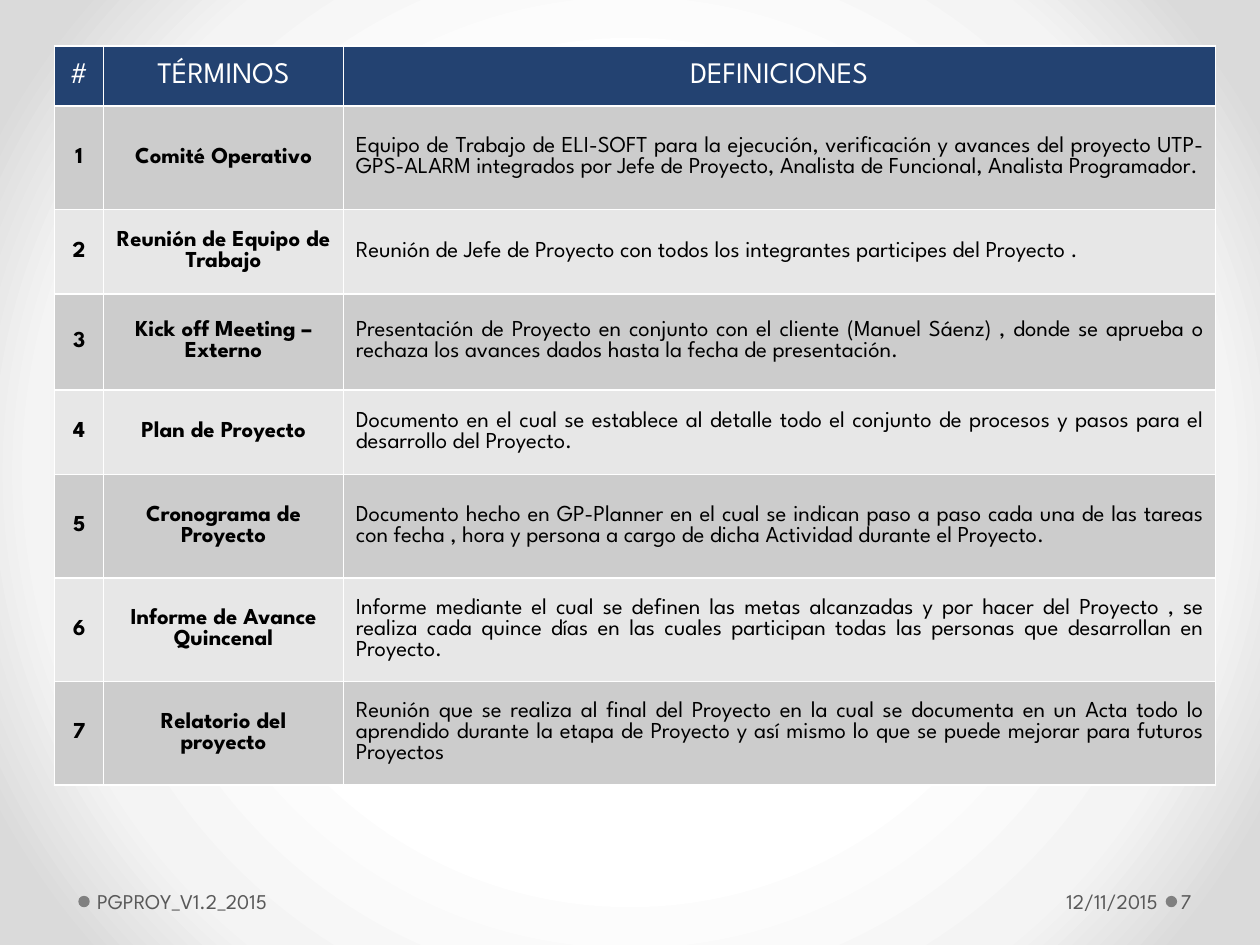
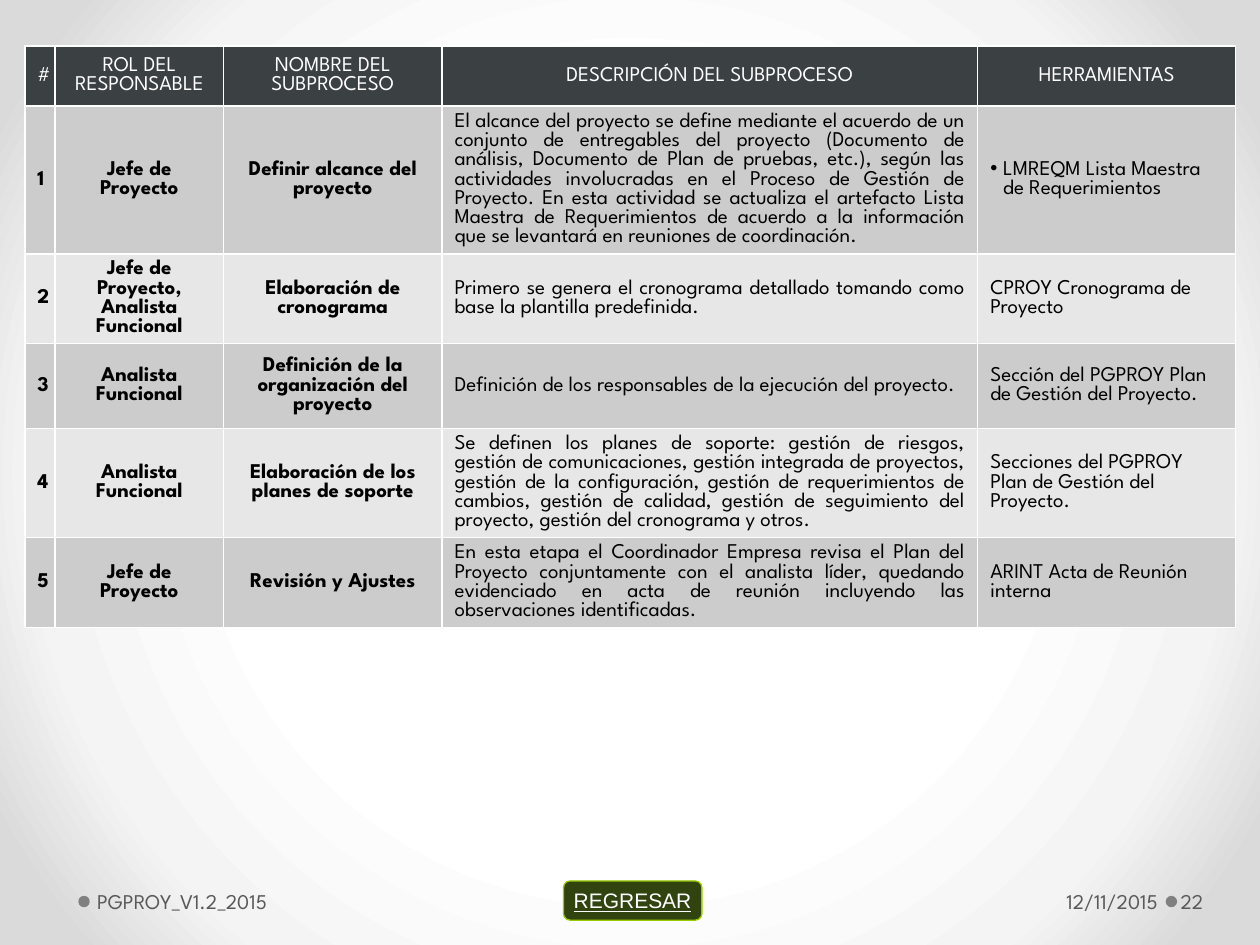
"""Builds the glossary and subprocess table slides of the project plan."""
from lxml import etree
from pptx import Presentation
from pptx.dml.color import RGBColor
from pptx.enum.shapes import MSO_SHAPE
from pptx.enum.text import MSO_ANCHOR, PP_ALIGN
from pptx.oxml.ns import qn
from pptx.util import Cm, Pt

LEFT, CENTER, RIGHT, JUSTIFY = PP_ALIGN.LEFT, PP_ALIGN.CENTER, PP_ALIGN.RIGHT, PP_ALIGN.JUSTIFY
MIDDLE = MSO_ANCHOR.MIDDLE
DOT, BUTTON = MSO_SHAPE.OVAL, MSO_SHAPE.FLOWCHART_ALTERNATE_PROCESS

WHITE = RGBColor(0xFF, 0xFF, 0xFF)
BLACK = RGBColor(0x00, 0x00, 0x00)
PALE = RGBColor(0xF4, 0xF4, 0xF4)
SILVER = RGBColor(0xDA, 0xDA, 0xDA)
DOT_GRAY = RGBColor(0x80, 0x80, 0x80)
FOOTER_GRAY = RGBColor(0x59, 0x59, 0x59)
NAVY = RGBColor(0x23, 0x42, 0x71)
CHARCOAL = RGBColor(0x3B, 0x40, 0x42)
ROW_DARK = RGBColor(0xCC, 0xCC, 0xCC)
ROW_LIGHT = RGBColor(0xE7, 0xE7, 0xE7)
BUTTON_GREEN = RGBColor(0x31, 0x44, 0x10)
LIME = RGBColor(0x99, 0xCC, 0x00)

FONT = "League Spartan"
LINE_PITCH = 0.92
BULLET = "•"
BACKDROP_STOPS = [(50, WHITE), (76, PALE), (92, SILVER)]
TABLE_TOP = 0.93
FOOTER_TOP, FOOTER_HEIGHT = 17.65, 1.02
DOT_LEFTS, DOT_TOP, DOT_SIZE = (1.58, 23.5), 18.06, 0.23
DOCUMENT_CODE, DATE = "PGPROY_V1.2_2015", "12/11/2015"

TERMS = {
    "number": "7",
    "left": 1.1,
    "header_fill": NAVY,
    "header_size": 17,
    "body_size": 13,
    "widths": [0.99, 4.83, 17.58],
    "heights": [1.21, 2.08, 1.71, 1.93, 1.71, 2.08, 2.09, 2.08],
    "aligns": [CENTER, CENTER, JUSTIFY],
    "header": ["#", "TÉRMINOS", "DEFINICIONES"],
    "rows": [
        ("Comité Operativo",
         "Equipo de Trabajo de ELI-SOFT para la ejecución, verificación y avances del proyecto "
         "UTP-GPS-ALARM integrados por Jefe de Proyecto, Analista de Funcional, Analista Programador."),
        ("Reunión de Equipo de Trabajo",
         "Reunión de Jefe de Proyecto con todos los integrantes participes del Proyecto ."),
        ("Kick off Meeting – Externo",
         "Presentación de Proyecto en conjunto con el cliente (Manuel Sáenz) , donde se aprueba o "
         "rechaza los avances dados hasta la fecha de presentación."),
        ("Plan de Proyecto",
         "Documento en el cual se establece al detalle todo el conjunto de procesos y pasos para el "
         "desarrollo del Proyecto."),
        ("Cronograma de Proyecto",
         "Documento hecho en GP-Planner en el cual se indican paso a paso cada una de las tareas con "
         "fecha , hora y persona a cargo de dicha Actividad durante el Proyecto."),
        ("Informe de Avance Quincenal",
         "Informe mediante el cual se definen las metas alcanzadas y por hacer del Proyecto , se "
         "realiza cada quince días en las cuales participan todas las personas que desarrollan en "
         "Proyecto."),
        ("Relatorio del proyecto",
         "Reunión que se realiza al final del Proyecto en la cual se documenta en un Acta todo lo "
         "aprendido durante la etapa de Proyecto y así mismo lo que se puede mejorar para futuros "
         "Proyectos"),
    ],
}

SUBPROCESSES = {
    "number": "22",
    "left": 0.5,
    "header_fill": CHARCOAL,
    "header_size": 12,
    "body_size": 12,
    "widths": [0.61, 3.4, 4.4, 10.8, 5.2],
    "heights": [1.21, 2.97, 1.81, 1.71, 2.2, 1.81],
    "aligns": [CENTER, CENTER, CENTER, JUSTIFY, LEFT],
    "header": ["#", "ROL DEL RESPONSABLE", "NOMBRE DEL SUBPROCESO",
               "DESCRIPCIÓN DEL SUBPROCESO", "HERRAMIENTAS"],
    "rows": [
        ("Jefe de Proyecto", "Definir alcance del proyecto",
         "El alcance del proyecto se define mediante el acuerdo de un conjunto de entregables del "
         "proyecto (Documento de análisis, Documento de Plan de pruebas, etc.), según las actividades "
         "involucradas en el Proceso de Gestión de Proyecto. En esta actividad se actualiza el "
         "artefacto Lista Maestra de Requerimientos de acuerdo a la información que se levantará en "
         "reuniones de coordinación.",
         BULLET + "LMREQM Lista Maestra de Requerimientos"),
        ("Jefe de Proyecto, Analista Funcional", "Elaboración de cronograma",
         "Primero se genera el cronograma detallado tomando como base la plantilla predefinida.",
         "CPROY Cronograma de Proyecto"),
        ("Analista Funcional", "Definición de la organización del proyecto",
         "Definición de los responsables de la ejecución del proyecto.",
         "Sección del PGPROY Plan de Gestión del Proyecto."),
        ("Analista Funcional", "Elaboración de los planes de soporte",
         "Se definen los planes de soporte: gestión de riesgos, gestión de comunicaciones, gestión "
         "integrada de proyectos, gestión de la configuración, gestión de requerimientos de cambios, "
         "gestión de calidad, gestión de seguimiento del proyecto, gestión del cronograma y otros.",
         "Secciones del PGPROY Plan de Gestión del Proyecto."),
        ("Jefe de Proyecto", "Revisión y Ajustes",
         "En esta etapa el Coordinador Empresa revisa el Plan del Proyecto conjuntamente con el "
         "analista líder, quedando evidenciado en acta de reunión incluyendo las observaciones "
         "identificadas.",
         "ARINT Acta de Reunión interna"),
    ],
}


def add_color(parent, color):
    etree.SubElement(parent, qn("a:srgbClr"), val=str(color))


def style_para(para, size, color, align=LEFT, bold=False, font=FONT):
    para.alignment = align
    para.font.name = font
    para.font.size = Pt(size)
    para.font.bold = bold
    para.font.color.rgb = color


def paint_backdrop(page):
    page.background.fill.gradient()
    gradient = next(page.element.iter(qn("a:gradFill")))
    gradient.clear()
    stops = etree.SubElement(gradient, qn("a:gsLst"))
    for percent, color in BACKDROP_STOPS:
        add_color(etree.SubElement(stops, qn("a:gs"), pos=str(percent * 1000)), color)
    circle = etree.SubElement(gradient, qn("a:path"), path="circle")
    etree.SubElement(circle, qn("a:fillToRect"), dict.fromkeys("ltrb", "50000"))


def add_preset(page, preset, left, top, width, height, fill):
    shape = page.shapes.add_shape(preset, Cm(left), Cm(top), Cm(width), Cm(height))
    shape.shadow.inherit = False
    shape.fill.solid()
    shape.fill.fore_color.rgb = fill
    shape.line.fill.background()
    return shape


def add_footer_text(page, text, left, width, margins, align=LEFT):
    box = page.shapes.add_textbox(Cm(left), Cm(FOOTER_TOP), Cm(width), Cm(FOOTER_HEIGHT))
    frame = box.text_frame
    frame.word_wrap = True
    frame.vertical_anchor = MIDDLE
    frame.margin_left, frame.margin_right = map(Cm, margins)
    frame.text = text
    style_para(frame.paragraphs[0], 12, FOOTER_GRAY, align)


def add_footer(page, number):
    for left in DOT_LEFTS:
        add_preset(page, DOT, left, DOT_TOP, DOT_SIZE, DOT_SIZE, DOT_GRAY)
    add_footer_text(page, DOCUMENT_CODE, 1.83, 10.06, (0.13, 0.25))
    add_footer_text(page, DATE, 17.68, 5.79, (0.25, 0.13), RIGHT)
    add_footer_text(page, number, 23.72, 1.55, (0.08, 0.13))


def add_borders(cell):
    properties = cell._tc.get_or_add_tcPr()
    for index, side in enumerate(("lnL", "lnR", "lnT", "lnB")):
        line = etree.Element(qn("a:" + side), w=str(Pt(1)))
        add_color(etree.SubElement(line, qn("a:solidFill")), WHITE)
        properties.insert(index, line)


def fill_cell(cell, text, fill, size, color, align, bold):
    cell.fill.solid()
    cell.fill.fore_color.rgb = fill
    add_borders(cell)
    cell.vertical_anchor = MIDDLE
    cell.text = text.removeprefix(BULLET)
    para = cell.text_frame.paragraphs[0]
    para.line_spacing = Pt(size * LINE_PITCH)
    if text.startswith(BULLET):
        properties = para._p.get_or_add_pPr()
        properties.set("marL", str(Cm(0.26)))
        properties.set("indent", str(Cm(-0.26)))
        etree.SubElement(properties, qn("a:buChar"), char=BULLET)
    style_para(para, size, color, align, bold)


def add_grid(page, content):
    widths, heights = content["widths"], content["heights"]
    table = page.shapes.add_table(len(heights), len(widths), Cm(content["left"]), Cm(TABLE_TOP),
                                  Cm(sum(widths)), Cm(sum(heights))).table
    table.horz_banding = False
    for column, width in zip(table.columns, widths):
        column.width = Cm(width)
    for row, height in zip(table.rows, heights):
        row.height = Cm(height)
    for column, text in enumerate(content["header"]):
        fill_cell(table.cell(0, column), text, content["header_fill"],
                  content["header_size"], WHITE, CENTER, False)
    for row, texts in enumerate(content["rows"], start=1):
        fill = ROW_DARK if row % 2 else ROW_LIGHT
        for column, text in enumerate((str(row), *texts)):
            align = content["aligns"][column]
            fill_cell(table.cell(row, column), text, fill, content["body_size"], BLACK,
                      align, align == CENTER)


def add_return_button(page):
    button = add_preset(page, BUTTON, 11.36, 17.76, 2.79, 0.79, BUTTON_GREEN)
    button.line.color.rgb = LIME
    button.line.width = Pt(0.75)
    frame = button.text_frame
    frame.word_wrap = False
    frame.vertical_anchor = MIDDLE
    frame.text = "REGRESAR"
    para = frame.paragraphs[0]
    style_para(para, 12, WHITE, CENTER, font="Arial")
    para.font.underline = True


def add_page(deck, content):
    page = deck.slides.add_slide(deck.slide_layouts[6])
    paint_backdrop(page)
    add_grid(page, content)
    add_footer(page, content["number"])
    return page


def main():
    deck = Presentation()
    deck.slide_width, deck.slide_height = Cm(25.4), Cm(19.05)
    add_page(deck, TERMS)
    add_return_button(add_page(deck, SUBPROCESSES))
    deck.save("out.pptx")


if __name__ == "__main__":
    main()
